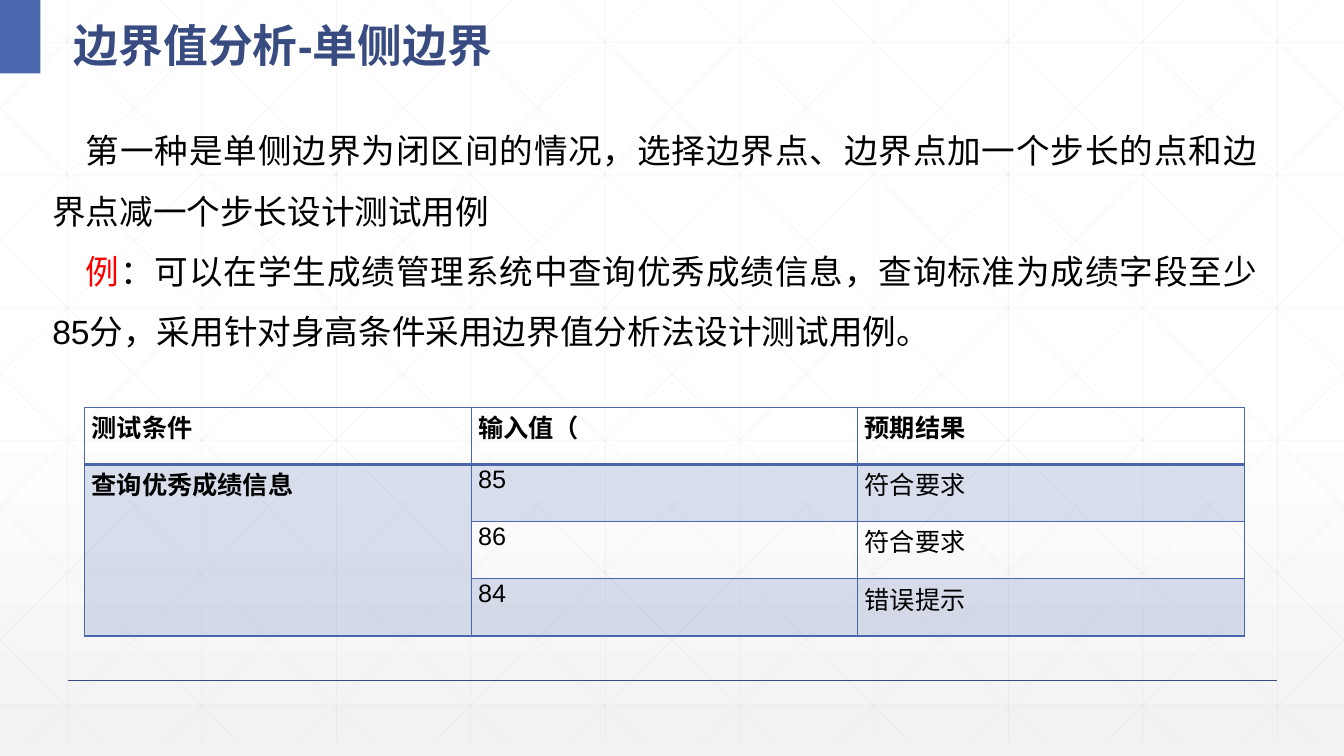
import copy

import pptx
import pptx.dml.color
import pptx.enum.shapes
import pptx.enum.text
import pptx.oxml
import pptx.oxml.ns
import pptx.util

Inches = pptx.util.Inches
Pt = pptx.util.Pt
qn = pptx.oxml.ns.qn
ALIGN = pptx.enum.text.PP_ALIGN

WIDTH, HEIGHT = 13.33, 7.5
BLUE, NAVY, BLACK, RED, GRID = "4A66AC", "384C81", "000000", "FF0000", "D9D9D9"
LATIN, HAN = "Arial", "Noto Sans CJK SC"

ROWS = [
    ["测试条件", "输入值（", "预期结果"],
    ["查询优秀成绩信息", "85", "符合要求"],
    ["", "86", "符合要求"],
    ["", "84", "错误提示"],
]
BODY = [
    [("第一种是单侧边界为闭区间的情况，选择边界点、边界点加一个步长的点和边界点减一个步长设计测试用例", LATIN, BLACK)],
    [
        ("例", HAN, RED),
        ("：", HAN, BLACK),
        ("可以在学生成绩管理系统中查询优秀成绩信息，查询标准为成绩字段至少85分，采用针对身高条件采用边界值分析法设计测试用例。", LATIN, BLACK),
    ],
]


def colour(value):
    return pptx.dml.color.RGBColor.from_string(value)


def style_span(span, size, value, bold=False, latin=LATIN):
    span.font.size = Pt(size)
    span.font.bold = bold
    span.font.name = latin
    span.font.color.rgb = colour(value)
    east = span.font._element.makeelement(qn("a:ea"), {"typeface": HAN})
    span.font._element.find(qn("a:latin")).addnext(east)


def add_alpha(element, percent):
    for shade in element.iter(qn("a:srgbClr")):
        alpha = shade.makeelement(qn("a:alpha"), {"val": str(percent * 1000)})
        shade.append(alpha)


def add_line(page, start, end, value, width):
    line = page.shapes.add_connector(
        pptx.enum.shapes.MSO_CONNECTOR.STRAIGHT, *map(Inches, start + end))
    line.line.color.rgb = colour(value)
    line.line.width = Pt(width)
    properties = line._element.spPr
    properties.append(properties.makeelement(qn("a:effectLst"), {}))
    return line


def paint_background(page):
    fill = page.background.fill
    fill.gradient()
    fill.gradient_angle = 270
    stops = page._element.find(".//" + qn("a:gsLst"))
    stops.append(copy.deepcopy(stops[-1]))
    for stop, (value, position) in zip(
            fill.gradient_stops, [("FFFFFF", 0), ("FFFFFF", 0.53), ("F2F2F2", 1)]):
        stop.color.rgb = colour(value)
        stop.position = position


def add_grid(page, width, height):
    step, row_step, run = 4 / 3, 1.316, 7.45
    segments = []
    for column in range(10):
        x = 0.67 + column * step
        segments.append(((x, 0), (x, height)))
    for row in range(6):
        y = 0.42 + row * row_step
        segments.append(((0, y), (width, y)))
    for diagonal in range(-5, 10):
        origin = 0.25 + diagonal * step
        first, last = max(0, -origin), min(run, width - origin)
        (x1, y1), (x2, y2) = [(origin + t, t * height / run) for t in (first, last)]
        segments.append(((x1, y1), (x2, y2)))
        segments.append(((width - x1, y1), (width - x2, y2)))
    for start, end in segments:
        line = add_line(page, start, end, GRID, 0.5)
        add_alpha(line._element, 25)


def add_heading(page, left, top, width, height):
    marker = page.shapes.add_shape(
        pptx.enum.shapes.MSO_SHAPE.RECTANGLE, *map(Inches, (left, top, 0.4, height)))
    marker.shadow.inherit = False
    marker.fill.solid()
    marker.fill.fore_color.rgb = colour(BLUE)
    marker.line.fill.background()

    title = page.shapes.title
    title.left, title.top = Inches(left + 0.63), Inches(top)
    title.width, title.height = Inches(width - 0.63), Inches(height)
    frame = title.text_frame
    frame.text = "边界值分析-单侧边界"
    frame.auto_size = pptx.enum.text.MSO_AUTO_SIZE.NONE
    frame.vertical_anchor = pptx.enum.text.MSO_ANCHOR.MIDDLE
    para = frame.paragraphs[0]
    para.alignment = ALIGN.LEFT
    para.line_spacing = 1.3
    style_span(para.runs[0], 32, NAVY, bold=True)
    page.shapes._spTree.append(title._element)


def add_body(page, left, top, width, height):
    box = page.shapes.add_textbox(*map(Inches, (left, top, width, height)))
    frame = box.text_frame
    frame.word_wrap = True
    frame.auto_size = pptx.enum.text.MSO_AUTO_SIZE.SHAPE_TO_FIT_TEXT
    for index, spans in enumerate(BODY):
        para = frame.add_paragraph() if index else frame.paragraphs[0]
        para.alignment = ALIGN.JUSTIFY
        para.line_spacing = 1.5
        settings = para._p.get_or_add_pPr()
        settings.set("marL", "0")
        settings.set("indent", str(Inches(0.33)))
        for text, latin, value in spans:
            span = para.add_run()
            span.text = text
            style_span(span, 24, value, latin=latin)


def set_borders(cell, bottom):
    settings = cell._tc.get_or_add_tcPr()
    for side, width in (("L", 1), ("R", 1), ("T", 1), ("B", bottom)):
        settings.append(pptx.oxml.parse_xml(
            f'<a:ln{side} xmlns:a="http://schemas.openxmlformats.org/drawingml/2006/main" '
            f'w="{Pt(width)}"><a:solidFill><a:srgbClr val="{BLUE}"/></a:solidFill></a:ln{side}>'))


def add_cases(page, left, top, width, height):
    table = page.shapes.add_table(
        len(ROWS), len(ROWS[0]), *map(Inches, (left, top, width, height))).table
    table.first_row = False
    table.horz_banding = False
    for r, texts in enumerate(ROWS):
        for c, text in enumerate(texts):
            cell = table.cell(r, c)
            cell.margin_left = cell.margin_right = Inches(0.07)
            cell.margin_top, cell.margin_bottom = Inches(0.01), 0
            set_borders(cell, 1 if r else 2)
            if r % 2 or (r and c == 0):
                cell.fill.solid()
                cell.fill.fore_color.rgb = colour(BLUE)
                add_alpha(cell._tc.tcPr.find(qn("a:solidFill")), 20)
            else:
                cell.fill.background()
            if text:
                para = cell.text_frame.paragraphs[0]
                para.text = text
                para.alignment = ALIGN.JUSTIFY
                style_span(para.runs[0], 18, BLACK, bold=r == 0 or c == 0)
    table.cell(1, 0).merge(table.cell(len(ROWS) - 1, 0))


def main():
    deck = pptx.Presentation()
    deck.slide_width, deck.slide_height = Inches(WIDTH), Inches(HEIGHT)
    page = deck.slides.add_slide(deck.slide_layouts.get_by_name("Title Only"))
    paint_background(page)
    add_grid(page, WIDTH, 7.37)
    add_line(page, (0.67, 6.75), (12.67, 6.75), NAVY, 1)
    add_heading(page, 0, 0, 6.32, 0.73)
    add_body(page, 0.42, 1.04, 12.15, 2.43)
    add_cases(page, 0.84, 4.04, 11.5, 2.27)
    deck.save("out.pptx")


if __name__ == "__main__":
    main()
